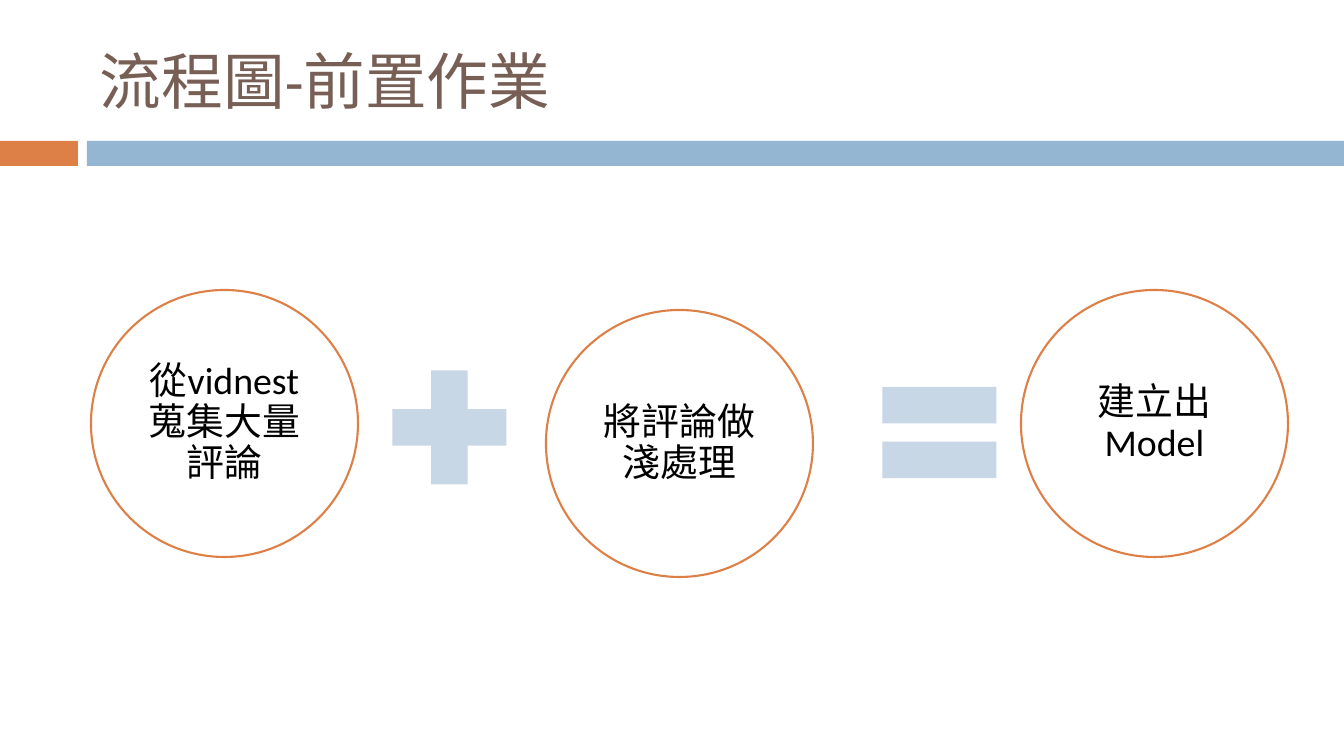
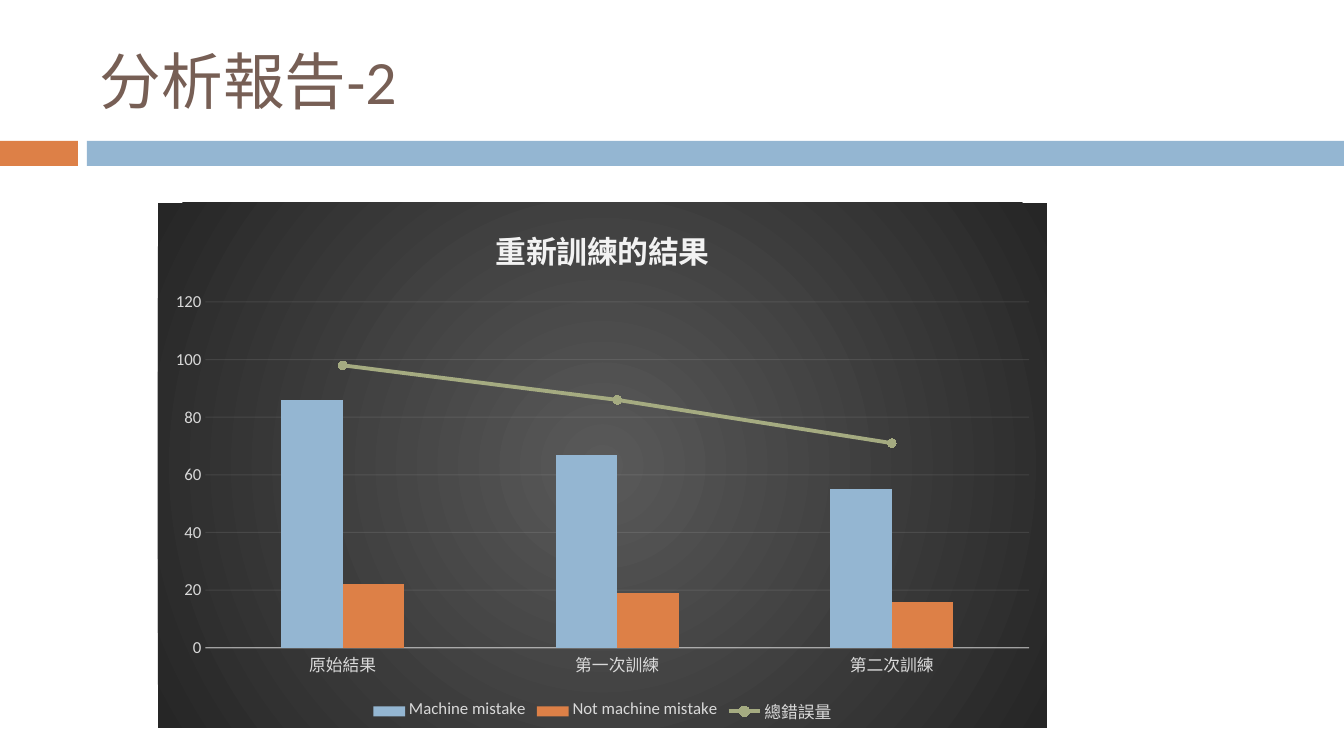
from dataclasses import dataclass

from lxml import etree
from pptx import Presentation
from pptx.chart.data import CategoryChartData
from pptx.dml.color import RGBColor
from pptx.enum.chart import XL_CHART_TYPE, XL_LEGEND_POSITION, XL_MARKER_STYLE, XL_TICK_MARK
from pptx.enum.shapes import MSO_SHAPE
from pptx.enum.text import MSO_ANCHOR, PP_ALIGN
from pptx.oxml import parse_xml
from pptx.oxml.ns import qn
from pptx.util import Emu, Pt

RECT, OVAL = MSO_SHAPE.RECTANGLE, MSO_SHAPE.OVAL
PLUS, EQUAL = MSO_SHAPE.MATH_PLUS, MSO_SHAPE.MATH_EQUAL
MIDDLE, CENTER = MSO_ANCHOR.MIDDLE, PP_ALIGN.CENTER
COLUMNS, CIRCLE = XL_CHART_TYPE.COLUMN_CLUSTERED, XL_MARKER_STYLE.CIRCLE
LEGEND_BOTTOM, NO_TICK = XL_LEGEND_POSITION.BOTTOM, XL_TICK_MARK.NONE

WHITE = RGBColor(0xFF, 0xFF, 0xFF)
BLACK = RGBColor(0x00, 0x00, 0x00)
BROWN = RGBColor(0x77, 0x5F, 0x55)
ORANGE = RGBColor(0xDD, 0x80, 0x47)
BLUE = RGBColor(0x94, 0xB6, 0xD2)
PALE_BLUE = RGBColor(0xC8, 0xD7, 0xE5)
OLIVE = RGBColor(0xA5, 0xAB, 0x81)
LIGHT_GRAY = RGBColor(0xD9, 0xD9, 0xD9)
OFF_WHITE = RGBColor(0xF2, 0xF2, 0xF2)
FONT = "Calibri"

SLIDE_W, SLIDE_H = 1344, 756
EMU_PER_PX = 12192000 / SLIDE_W

DARK_GRADIENT = """
<c:spPr xmlns:c="http://schemas.openxmlformats.org/drawingml/2006/chart"
        xmlns:a="http://schemas.openxmlformats.org/drawingml/2006/main">
  <a:gradFill>
    <a:gsLst>
      <a:gs pos="0"><a:srgbClr val="595959"/></a:gs>
      <a:gs pos="100000"><a:srgbClr val="262626"/></a:gs>
    </a:gsLst>
    <a:path path="circle"><a:fillToRect l="50000" t="50000" r="50000" b="50000"/></a:path>
  </a:gradFill>
  <a:ln><a:noFill/></a:ln>
</c:spPr>"""


@dataclass(frozen=True)
class Box:
    left: int
    top: int
    width: int
    height: int

    def emu(self) -> tuple:
        return tuple(px(n) for n in (self.left, self.top, self.width, self.height))


@dataclass(frozen=True)
class Step:
    left: int
    top: int
    text: str


@dataclass(frozen=True)
class Operator:
    left: int
    top: int
    kind: MSO_SHAPE


@dataclass(frozen=True)
class Series:
    name: str
    values: tuple
    color: RGBColor


# Shared by both slides
ORANGE_BAND = Box(0, 141, 78, 25)
BLUE_BAND = Box(87, 141, SLIDE_W - 87, 25)
TITLE_BOX = Box(90, 25, 1199, 109)

# Process: step + step = step
STEP_SIZE, OPERATOR_SIZE, STEP_INSET = 267, 155, 4
STEPS = (
    Step(91, 290, "從vidnest蒐集大量評論"),
    Step(546, 310, "將評論做淺處理"),
    Step(1021, 290, "建立出Model"),
)
OPERATORS = (Operator(372, 350, PLUS), Operator(862, 355, EQUAL))

# Training results
CHART_BOX = Box(158, 203, 889, 525)
ROUNDS = ("原始結果", "第一次訓練", "第二次訓練")
MISTAKES = (
    Series("Machine mistake", (86, 67, 55), BLUE),
    Series("Not machine mistake", (22, 19, 16), ORANGE),
)
TOTAL = Series("總錯誤量", (98, 86, 71), OLIVE)


def px(length: int) -> Emu:
    return Emu(round(length * EMU_PER_PX))


def style_font(font, size: int, color: RGBColor, bold: bool = False) -> None:
    font.name, font.size, font.bold = FONT, Pt(size), bold
    font.color.rgb = color


def add_filled(slide, kind: MSO_SHAPE, box: Box, fill: RGBColor):
    shape = slide.shapes.add_shape(kind, *box.emu())
    shape.shadow.inherit = False
    shape.fill.solid()
    shape.fill.fore_color.rgb = fill
    shape.line.fill.background()
    return shape


def add_titled_slide(deck, title: str):
    slide = deck.slides.add_slide(deck.slide_layouts[6])
    add_filled(slide, RECT, ORANGE_BAND, ORANGE)
    add_filled(slide, RECT, BLUE_BAND, BLUE)
    frame = slide.shapes.add_textbox(*TITLE_BOX.emu()).text_frame
    frame.word_wrap, frame.vertical_anchor = True, MIDDLE
    frame.text = title
    style_font(frame.paragraphs[0].runs[0].font, 44, BROWN)
    return slide


def add_step(slide, step: Step) -> None:
    circle = add_filled(slide, OVAL, Box(step.left, step.top, STEP_SIZE, STEP_SIZE), WHITE)
    circle.line.color.rgb = ORANGE
    circle.line.width = Pt(1.5)
    frame = circle.text_frame
    frame.word_wrap, frame.vertical_anchor = True, MIDDLE
    frame.margin_left = frame.margin_right = px(STEP_INSET)
    frame.margin_top = frame.margin_bottom = px(STEP_INSET)
    frame.text = step.text
    paragraph = frame.paragraphs[0]
    paragraph.alignment, paragraph.line_spacing = CENTER, 0.9
    style_font(paragraph.runs[0].font, 27, BLACK)


def build_process(deck) -> None:
    slide = add_titled_slide(deck, "流程圖-前置作業")
    for step in STEPS:
        add_step(slide, step)
    for sign in OPERATORS:
        box = Box(sign.left, sign.top, OPERATOR_SIZE, OPERATOR_SIZE)
        add_filled(slide, sign.kind, box, PALE_BLUE)


def move_last_series_to_line(chart_space) -> None:
    """Turn the last column series into a line on the same axes."""
    columns = chart_space.xpath(".//c:barChart")[0]
    total = columns.xpath("c:ser")[-1]
    for flag in total.xpath("c:invertIfNegative"):
        total.remove(flag)
    line = etree.Element(qn("c:lineChart"))
    etree.SubElement(line, qn("c:grouping")).set("val", "standard")
    etree.SubElement(line, qn("c:varyColors")).set("val", "0")
    line.append(total)
    etree.SubElement(line, qn("c:marker")).set("val", "1")
    for axis_id in columns.xpath("c:axId"):
        etree.SubElement(line, qn("c:axId")).set("val", axis_id.get("val"))
    columns.addnext(parse_xml(etree.tostring(line)))


def set_opacity(chart_space, parent: str, percent: int) -> None:
    for color in chart_space.xpath(f".//{parent}/c:spPr/a:ln//a:srgbClr"):
        etree.SubElement(color, qn("a:alpha")).set("val", str(percent * 1000))


def style_axes(chart) -> None:
    rounds, counts = chart.category_axis, chart.value_axis
    for axis in (rounds, counts):
        axis.major_tick_mark = axis.minor_tick_mark = NO_TICK
        style_font(axis.tick_labels.font, 12, LIGHT_GRAY)
    counts.minimum_scale, counts.maximum_scale, counts.major_unit = 0, 120, 20
    counts.format.line.fill.background()
    counts.has_major_gridlines = True
    grid = counts.major_gridlines.format.line
    for line, width in ((rounds.format.line, 1), (grid, 0.75)):
        line.color.rgb, line.width = OFF_WHITE, Pt(width)


def style_series(chart) -> None:
    columns, line = chart.plots
    columns.gap_width, columns.overlap = 247, 0
    columns.vary_by_categories = False
    for bars, mistake in zip(columns.series, MISTAKES):
        bars.format.fill.solid()
        bars.format.fill.fore_color.rgb = mistake.color
    total = line.series[0]
    total.smooth = False
    total.format.line.color.rgb, total.format.line.width = TOTAL.color, Pt(2.75)
    total.marker.style, total.marker.size = CIRCLE, 6
    total.marker.format.fill.solid()
    total.marker.format.fill.fore_color.rgb = TOTAL.color
    total.marker.format.line.color.rgb = TOTAL.color


def build_report(deck) -> None:
    slide = add_titled_slide(deck, "分析報告-2")
    data = CategoryChartData()
    data.categories = ROUNDS
    for series in (*MISTAKES, TOTAL):
        data.add_series(series.name, series.values)
    chart = slide.shapes.add_chart(COLUMNS, *CHART_BOX.emu(), data).chart
    chart_space = chart._chartSpace
    style_font(chart.font, 10, BLACK)
    move_last_series_to_line(chart_space)
    style_series(chart)
    style_axes(chart)
    set_opacity(chart_space, "c:catAx", 54)
    set_opacity(chart_space, "c:majorGridlines", 10)

    # Title, legend and background
    chart.has_title = True
    heading = chart.chart_title.text_frame
    heading.text = "重新訓練的結果"
    style_font(heading.paragraphs[0].runs[0].font, 22, OFF_WHITE, bold=True)
    chart.has_legend = True
    chart.legend.position, chart.legend.include_in_layout = LEGEND_BOTTOM, False
    style_font(chart.legend.font, 12, LIGHT_GRAY)
    chart_space.xpath("c:chart")[0].addnext(parse_xml(DARK_GRADIENT))


def main() -> None:
    deck = Presentation()
    deck.slide_width, deck.slide_height = px(SLIDE_W), px(SLIDE_H)
    build_process(deck)
    build_report(deck)
    deck.save("out.pptx")


if __name__ == "__main__":
    main()
